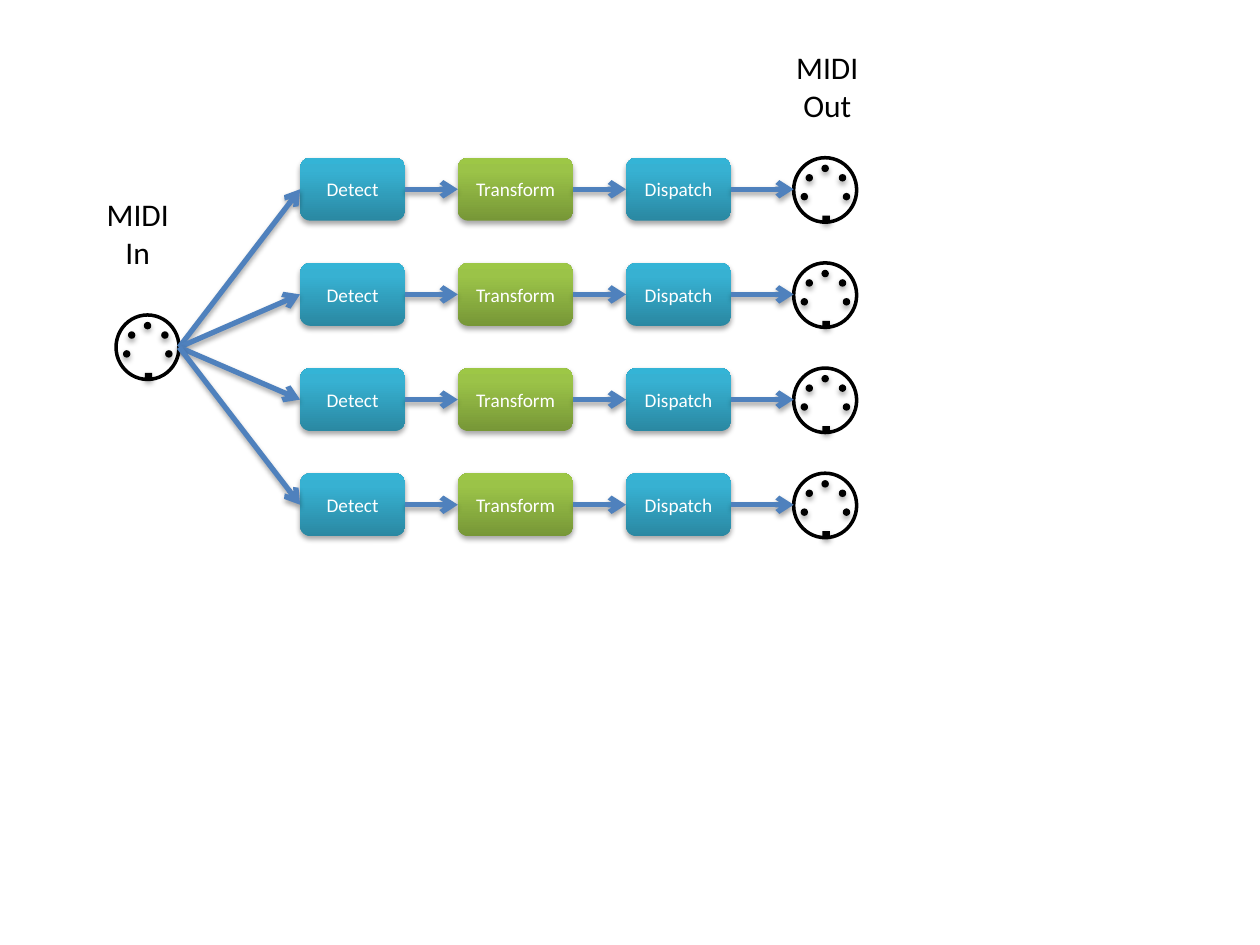
import copy
import pptx
import pptx.util
import pptx.dml.color
import pptx.enum.shapes
import pptx.enum.text
import pptx.oxml
import pptx.oxml.ns

Cm, Pt = pptx.util.Cm, pptx.util.Pt
SHAPE = pptx.enum.shapes.MSO_SHAPE
ALIGN = pptx.enum.text.PP_ALIGN
qn, nsdecls = pptx.oxml.ns.qn, pptx.oxml.ns.nsdecls

COLORS = {
    "black": "000000",
    "white": "FFFFFF",
    "arrow": "4F81BD",
    "blue": ("2A88A2", "37B1D2", "34B4D6"),
    "green": ("779737", "9BC348", "9DC746"),
}


def rgb(value):
    return pptx.dml.color.RGBColor.from_string(value)


class Diagram:
    """Draws styled MIDI routing elements on one slide."""

    font = "Calibri"
    stops = (0, 0.8, 1)
    pin = 0.15
    pins = ((0.56, 0.14), (0.14, 0.71), (0.99, 0.71), (0.91, 0.33), (0.24, 0.33))
    key = (0.58, 1.17)

    def __init__(self, slide):
        self.s = slide

    def shadow(self, effects):
        effects.append(pptx.oxml.parse_xml(
            f'<a:outerShdw {nsdecls("a")} blurRad="{Pt(3.1)}" dist="{Pt(1.8)}" '
            f'dir="5400000" rotWithShape="0"><a:srgbClr val="{COLORS["black"]}">'
            '<a:alpha val="35000"/></a:srgbClr></a:outerShdw>'))

    def shape(self, shapes, kind, x, y, w, h, shadow=True):
        sp = shapes.add_shape(kind, Cm(x), Cm(y), Cm(w), Cm(h))
        sp.line.fill.background()
        sp.shadow.inherit = False
        if shadow:
            self.shadow(sp._element.spPr.find(qn("a:effectLst")))
        return sp

    def run(self, p, text, size, color):
        r = p.add_run()
        r.text = text
        r.font.name = self.font
        r.font.size = Pt(size)
        r.font.color.rgb = rgb(COLORS[color])

    def box(self, text, color, x, y, w, h):
        sp = self.shape(self.s.shapes, SHAPE.FLOWCHART_ALTERNATE_PROCESS, x, y, w, h)
        sp.fill.gradient()
        sp.fill.gradient_angle = 90
        stops = sp._element.spPr.find(".//" + qn("a:gsLst"))
        stops.insert(1, copy.deepcopy(stops[0]))
        for stop, place, value in zip(sp.fill.gradient_stops, self.stops, COLORS[color]):
            stop.position = place
            stop.color.rgb = rgb(value)
        tf = sp.text_frame
        tf.vertical_anchor = pptx.enum.text.MSO_ANCHOR.MIDDLE
        p = tf.paragraphs[0]
        p.alignment = ALIGN.CENTER
        self.run(p, text, 11, "white")

    def socket(self, x, y):
        shapes = self.s.shapes.add_group_shape().shapes
        ring = self.shape(shapes, SHAPE.OVAL, x, y, 1.27, 1.3, shadow=False)
        ring.fill.solid()
        ring.fill.fore_color.rgb = rgb(COLORS["white"])
        ring.line.color.rgb = rgb(COLORS["black"])
        ring.line.width = Pt(2)
        marks = [(SHAPE.OVAL, pin) for pin in self.pins] + [(SHAPE.RECTANGLE, self.key)]
        for kind, (dx, dy) in marks:
            sp = self.shape(shapes, kind, x + dx, y + dy, self.pin, self.pin)
            sp.fill.solid()
            sp.fill.fore_color.rgb = rgb(COLORS["black"])

    def arrow(self, x1, y1, x2, y2):
        cx = self.s.shapes.add_connector(
            pptx.enum.shapes.MSO_CONNECTOR.STRAIGHT, Cm(x1), Cm(y1), Cm(x2), Cm(y2))
        cx.line.color.rgb = rgb(COLORS["arrow"])
        cx.line.width = Pt(3)
        spPr = cx._element.spPr
        spPr.find(qn("a:ln")).append(
            pptx.oxml.parse_xml(f'<a:tailEnd {nsdecls("a")} type="arrow"/>'))
        effects = pptx.oxml.parse_xml(f'<a:effectLst {nsdecls("a")}/>')
        self.shadow(effects)
        spPr.append(effects)

    def label(self, lines, x, y):
        tf = self.s.shapes.add_textbox(Cm(x), Cm(y), Cm(1.78), Cm(1.8)).text_frame
        tf.word_wrap = False
        tf.auto_size = pptx.enum.text.MSO_AUTO_SIZE.SHAPE_TO_FIT_TEXT
        for i, (text, align) in enumerate(lines):
            p = tf.add_paragraph() if i else tf.paragraphs[0]
            p.alignment = align
            self.run(p, text, 18, "black")


prs = pptx.Presentation()
prs.slide_width, prs.slide_height = Cm(25.4), Cm(19.05)
d = Diagram(prs.slides.add_slide(prs.slide_layouts[6]))

TOP, PITCH, BOX_H = 3.18, 2.12, 1.27
IN_X, IN_Y, SOCKET_W, OUT_X = 2.34, 6.35, 1.27, 16.0
STEPS = (
    ("Detect", "blue", 6.05, 2.12),
    ("Transform", "green", 9.23, 2.33),
    ("Dispatch", "blue", 12.62, 2.12),
)

d.socket(IN_X, IN_Y)
for row in range(4):
    y = TOP + row * PITCH
    mid = y + BOX_H / 2
    for text, color, x, w in STEPS:
        d.box(text, color, x, y, w, BOX_H)
    d.socket(OUT_X, y)
    d.arrow(IN_X + SOCKET_W, IN_Y + 0.65, STEPS[0][2], mid)
    ends = [x for _, _, x, _ in STEPS[1:]] + [OUT_X]
    for (_, _, x, w), end in zip(STEPS, ends):
        d.arrow(x + w, mid, end, mid)

for word, x, y in (("In", 1.9, 3.81), ("Out", 15.8, 0.84)):
    d.label((("MIDI", ALIGN.LEFT), (word, ALIGN.CENTER)), x, y)

prs.save("out.pptx")
